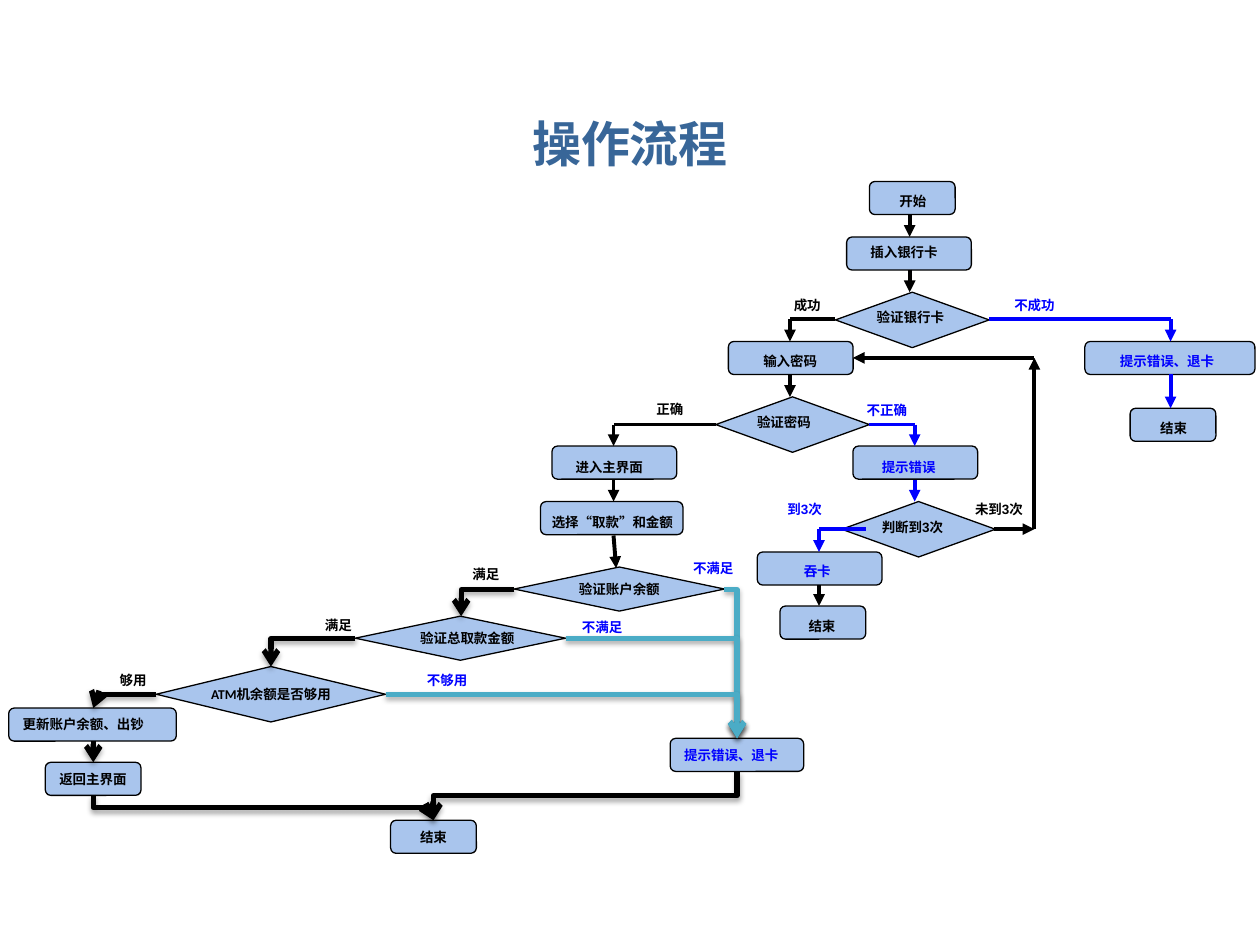
from dataclasses import dataclass

from lxml import etree
from pptx import Presentation
from pptx.dml.color import RGBColor
from pptx.enum.shapes import MSO_CONNECTOR, MSO_SHAPE
from pptx.enum.text import MSO_ANCHOR, PP_ALIGN
from pptx.oxml.ns import qn
from pptx.util import Pt

BOX, DIAMOND = MSO_SHAPE.FLOWCHART_ALTERNATE_PROCESS, MSO_SHAPE.DIAMOND
STRAIGHT, ELBOW = MSO_CONNECTOR.STRAIGHT, MSO_CONNECTOR.ELBOW
LEFT, CENTER = PP_ALIGN.LEFT, PP_ALIGN.CENTER
MIDDLE, TOP = MSO_ANCHOR.MIDDLE, MSO_ANCHOR.TOP

COLORS = {"title": "386698", "fill": "A9C5ED", "black": "000000",
          "blue": "0000FF", "teal": "4BACC6"}
BOX_HEIGHT, DIAMOND_HEIGHT, FLAT_HEIGHT = 18.9, 31.7, 25.2
END, STEP, CHECK, FLAT = 49, 71.3, 87.8, 120.2  # node widths
TEXT_HEIGHT, TEXT_SIZE = 16.6, 7.7

Point = tuple[float, float]


@dataclass
class Step:
    """A node with its caption in a text box of its own."""
    text: str
    left: float
    top: float
    width: float
    text_left: float
    text_top: float
    text_width: float
    color: str = "black"
    form: int = BOX


@dataclass
class Node:
    """A node that carries its own caption."""
    text: str
    left: float
    top: float
    width: float
    height: float = BOX_HEIGHT
    form: int = BOX
    align: int = LEFT
    color: str = "black"


@dataclass
class Label:
    text: str
    left: float
    top: float
    width: float
    color: str = "black"


@dataclass
class Flow:
    points: list[Point]
    color: str = "black"


@dataclass
class Bend:
    start: Point
    end: Point
    color: str = "black"
    down_first: bool = False


STEPS = [
    Step("开始", 496.8, 103.7, END, 506.9, 106.6, 36.7),
    Step("插入银行卡", 483.8, 135.4, STEP, 490.3, 136.1, 69.1),
    Step("验证银行卡", 477.4, 167, CHECK, 493.9, 172.8, 58.3, form=DIAMOND),
    Step("输入密码", 416.2, 195.1, STEP, 429.1, 198, 61.9),
    Step("进入主界面", 315.4, 254.9, STEP, 321.8, 258.5, 70.6),
    Step("选择“取款”和金额", 308.9, 286.6, 81.4, 308.2, 290.2, 87.8),
    Step("提示错误、退卡", 619.9, 195.1, 97.2, 632.9, 198, 81.4, "blue"),
    Step("验证密码", 409, 226.8, CHECK, 425.5, 233.3, 58.3, form=DIAMOND),
    Step("提示错误", 487.4, 254.9, STEP, 496.8, 258.5, 58.3, "blue"),
    Step("判断到3次", 481, 286.6, CHECK, 496.8, 293, 62.6, form=DIAMOND),
    Step("吞卡", 432.7, 315.4, STEP, 452.2, 318.2, 42.5, "blue"),
    Step("结束", 645.8, 233.3, END, 655.9, 236.2, 32.4),
    Step("结束", 445.7, 346.3, END, 455, 349.9, 40.3),
]
NODES = [
    Node("验证账户余额", 293.8, 324, FLAT, FLAT_HEIGHT, DIAMOND, CENTER),
    Node("更新账户余额、出钞", 5, 404.6, 95.8),
    Node("返回主界面", 25.9, 435.6, 54.7),
    Node("提示错误、退卡", 383, 421.9, 76.3, color="blue"),
    Node("结束", 223.2, 468.7, END, align=CENTER),
    Node("ATM机余额是否够用", 89.3, 380.9, 131, DIAMOND_HEIGHT, DIAMOND, CENTER),
    Node("验证总取款金额", 203, 352.1, FLAT, FLAT_HEIGHT, DIAMOND),
]
LABELS = [
    Label("成功", 448.6, 167, 36), Label("不成功", 574.6, 167, 49, "blue"),
    Label("正确", 370.1, 226.8, 36), Label("不正确", 490.3, 227.5, 52.6, "blue"),
    Label("到3次", 445, 283.7, 38.9, "blue"), Label("未到3次", 552.2, 283.7, 60.5),
    Label("满足", 265, 321.1, 36), Label("不满足", 391, 317.5, 39.6, "blue"),
    Label("满足", 180.7, 349.9, 36), Label("不满足", 327.6, 351.4, 45.4, "blue"),
    Label("够用", 63.4, 381.6, 36), Label("不够用", 239, 381.6, 47.5, "blue"),
]
FLOWS = [
    Flow([(519.8, 122.4), (519.8, 135.4)]),
    Flow([(519.8, 154.1), (519.8, 167)]),
    Flow([(477.4, 182.2), (451.4, 182.2), (451.4, 195.1)]),
    Flow([(565.2, 182.2), (668.9, 182.2), (668.9, 195.1)], "blue"),
    Flow([(668.9, 213.8), (668.9, 233.3)], "blue"),
    Flow([(451.4, 213.8), (451.4, 226.8)]),
    Flow([(409, 242.6), (350.6, 242.6), (350.6, 254.9)]),
    Flow([(496.8, 242.6), (522.7, 242.6), (522.7, 254.9)], "blue"),
    Flow([(350.6, 274.3), (350.6, 286.6)]),
    Flow([(522.7, 274.3), (522.7, 286.6)], "blue"),
    Flow([(350.6, 306), (352.1, 324.7)]),
    Flow([(568.1, 302.4), (591.1, 302.4)]),
    Flow([(591.1, 302.4), (591.1, 204.5)]),
    Flow([(591.1, 204.5), (487.4, 204.5)]),
    Flow([(494.6, 302.4), (468, 302.4), (468, 315.4)], "blue"),
    Flow([(468, 334.1), (468, 346.3)]),
]
REJECT = (421.2, 421.9)
FINISH = (247.7, 468.7)
BENDS = [
    Bend((421.2, 440.6), FINISH, down_first=True),
    Bend((53.3, 454.3), FINISH, down_first=True),
    Bend((89.3, 396.7), (53.3, 404.6)),
    Bend((203, 365), (154.8, 380.9)),
    Bend((414, 337), REJECT, "teal"),
    Bend((323.3, 365), REJECT, "teal"),
    Bend((220.3, 396.7), REJECT, "teal"),
    Bend((293.8, 337), (263.5, 352.1)),
]


def rgb(name: str) -> RGBColor:
    return RGBColor.from_string(COLORS[name])


def write(shape, text: str, color: str, font="Arial", size=TEXT_SIZE,
          align=LEFT, anchor=TOP, wrap=True) -> None:
    frame = shape.text_frame
    frame.word_wrap, frame.vertical_anchor = wrap, anchor
    para = frame.paragraphs[0]
    para.alignment = align
    span = para.add_run()
    span.text = text
    span.font.name, span.font.size, span.font.bold = font, Pt(size), True
    span.font.color.rgb = rgb(color)


def add_outline(shapes, form, left, top, width, height):
    shape = shapes.add_shape(form, Pt(left), Pt(top), Pt(width), Pt(height))
    shape.shadow.inherit = False
    shape.fill.solid()
    shape.fill.fore_color.rgb = rgb("fill")
    shape.line.color.rgb = rgb("black")
    shape.line.width = Pt(0.75)
    return shape


def add_step(page, step: Step) -> None:
    shapes = page.shapes.add_group_shape().shapes
    height = DIAMOND_HEIGHT if step.form == DIAMOND else BOX_HEIGHT
    add_outline(shapes, step.form, step.left, step.top, step.width, height)
    box = shapes.add_textbox(Pt(step.text_left), Pt(step.text_top),
                             Pt(step.text_width), Pt(TEXT_HEIGHT))
    write(box, step.text, step.color)


def add_node(page, node: Node) -> None:
    shape = add_outline(page.shapes, node.form, node.left, node.top, node.width, node.height)
    write(shape, node.text, node.color, "Calibri", align=node.align, anchor=MIDDLE, wrap=False)


def add_label(page, label: Label) -> None:
    box = page.shapes.add_textbox(Pt(label.left), Pt(label.top), Pt(label.width), Pt(14.4))
    frame = box.text_frame
    frame.margin_left = frame.margin_right = Pt(5)
    frame.margin_top = frame.margin_bottom = Pt(2.5)
    write(box, label.text, label.color)


def add_line(page, kind, start: Point, end: Point, color: str, width: float,
             head: str = "", shadow: bool = False):
    line = page.shapes.add_connector(kind, *map(Pt, start + end))
    line.line.color.rgb = rgb(color)
    line.line.width = Pt(width)
    properties = line.element.spPr
    if head:
        etree.SubElement(properties.find(qn("a:ln")), qn("a:tailEnd"), type=head)
    effects = etree.SubElement(properties, qn("a:effectLst"))
    if shadow:
        outer = etree.SubElement(effects, qn("a:outerShdw"), blurRad=str(Pt(3.1)),
                                 dist=str(Pt(1.8)), dir="5400000", rotWithShape="0")
        tint = etree.SubElement(outer, qn("a:srgbClr"), val=COLORS["black"])
        etree.SubElement(tint, qn("a:alpha"), val="35000")
    return line


def add_flow(page, flow: Flow) -> None:
    last = len(flow.points) - 2
    for i, (start, end) in enumerate(zip(flow.points, flow.points[1:])):
        add_line(page, STRAIGHT, start, end, flow.color, 2.25, "triangle" if i == last else "")


def add_bend(page, bend: Bend) -> None:
    (x1, y1), (x2, y2) = bend.start, bend.end
    width, height = abs(x2 - x1), y2 - y1
    if bend.down_first:  # turned a quarter, so the sides swap
        width, height = height, width
        turn, flip = 90, x2 > x1
    else:
        turn, flip = (180, True) if x2 < x1 else (0, False)
    left, top = (x1 + x2 - width) / 2, (y1 + y2 - height) / 2
    ends = (left, top), (left + width, top + height)
    if flip:
        ends = (left, top + height), (left + width, top)
    line = add_line(page, ELBOW, *ends, bend.color, 3, "arrow", shadow=True)
    properties = line.element.spPr
    properties.find(qn("a:xfrm")).set("rot", str(turn * 60000))
    if not bend.down_first:
        properties.find(qn("a:prstGeom")).set("prst", "bentConnector2")


def main() -> None:
    deck = Presentation()
    deck.slide_width, deck.slide_height = Pt(720), Pt(540)
    page = deck.slides.add_slide(deck.slide_layouts[6])

    # Title
    title = page.shapes.add_textbox(Pt(36), Pt(59.8), Pt(648), Pt(43.9))
    write(title, "操作流程", "title", "Cabin", 28, CENTER, MIDDLE)

    # Card and password checks
    for step in STEPS:
        add_step(page, step)
    for flow in FLOWS:
        add_flow(page, flow)

    # Balance checks and payout
    for node in NODES:
        add_node(page, node)
    for label in LABELS:
        add_label(page, label)
    add_line(page, STRAIGHT, (53.3, 423.4), (53.3, 435.6), "black", 3, "arrow", shadow=True)
    for bend in BENDS:
        add_bend(page, bend)

    deck.save("out.pptx")


if __name__ == "__main__":
    main()
